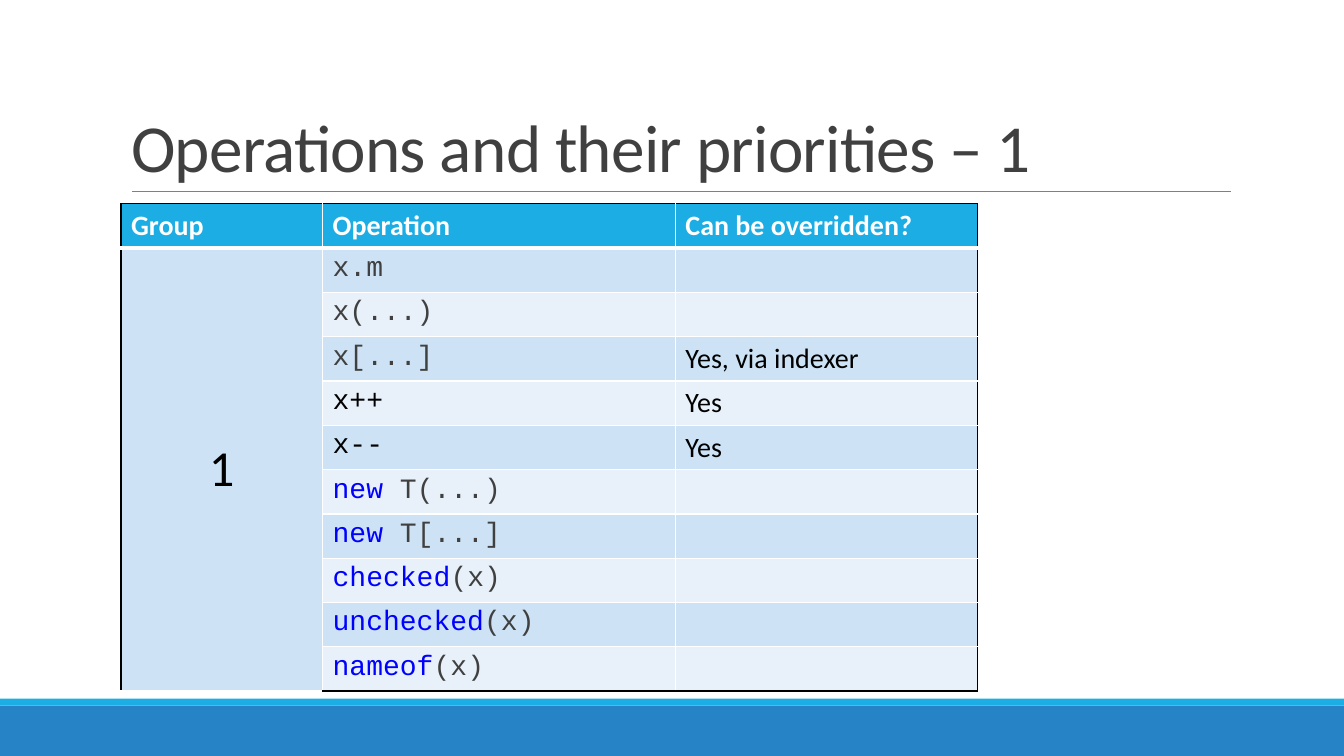
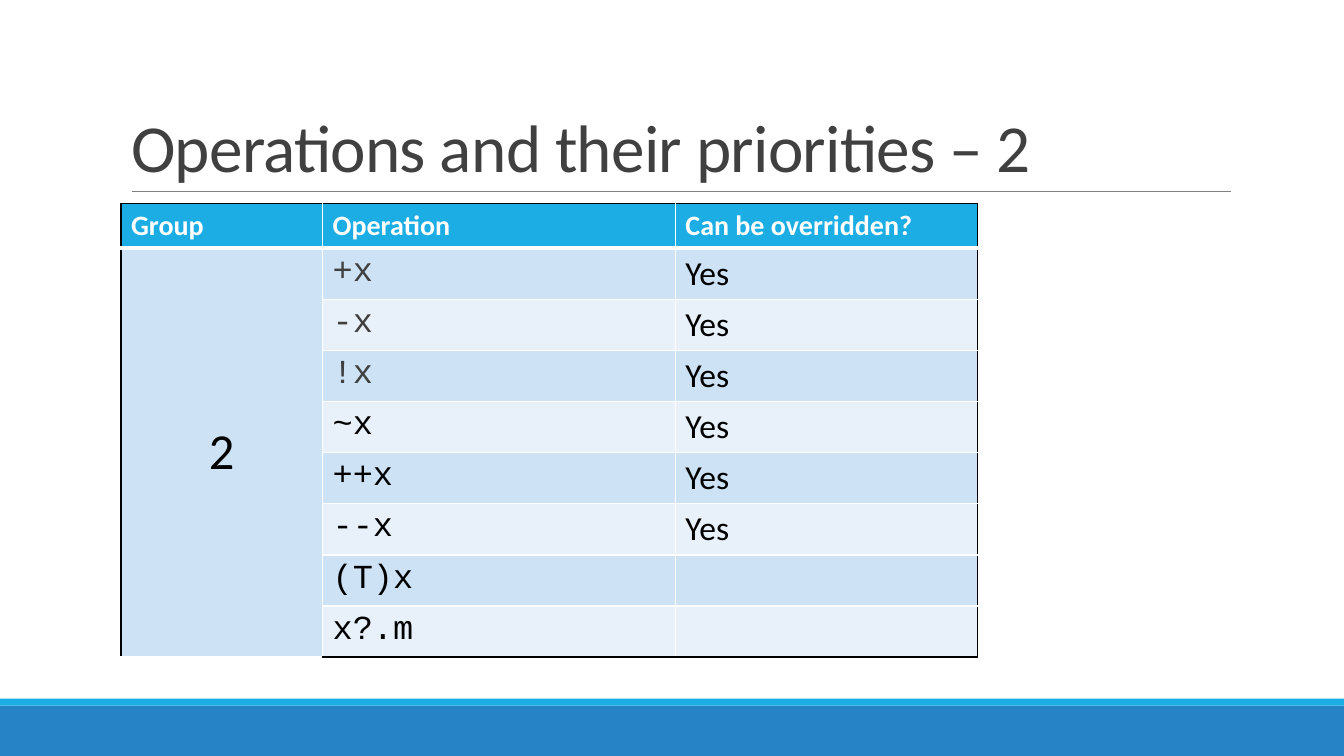
"""Build two slides of operator tables with a shared title style and footer bands."""
from lxml.etree import SubElement
from pptx import Presentation
from pptx.dml.color import RGBColor
from pptx.enum.shapes import MSO_CONNECTOR, MSO_SHAPE
from pptx.enum.text import MSO_ANCHOR, PP_ALIGN
from pptx.oxml import parse_xml
from pptx.oxml.ns import nsdecls, qn
from pptx.util import Pt

WHITE = RGBColor(0xFF, 0xFF, 0xFF)
BLACK = RGBColor(0x00, 0x00, 0x00)
GRAY = RGBColor(0x40, 0x40, 0x40)
RULE_GRAY = RGBColor(0x80, 0x80, 0x80)
KEYWORD_BLUE = RGBColor(0x00, 0x00, 0xFF)
SKY = RGBColor(0x1C, 0xAD, 0xE4)
BLUE = RGBColor(0x26, 0x83, 0xC6)
ROW_FILLS = (RGBColor(0xCD, 0xE3, 0xF5), RGBColor(0xE8, 0xF1, 0xFA))
TEXT_FONT, CODE_FONT = "Calibri", "Courier New"

SLIDE_WIDTH, SLIDE_HEIGHT = 960, 540
BANDS = [(504, 36, BLUE), (499, 5, SKY)]
TABLE_LEFT, TABLE_TOP = 86.4, 145.6
COLUMN_WIDTHS = (144, 252, 216)
HEADER_HEIGHT = 31.6
HEADERS = ("Group", "Operation", "Can be overridden?")

GROUPS = [
    {
        "number": "1", "size": 20, "row_height": 31.6,
        "operations": [
            ("", "x.m", GRAY, ""),
            ("", "x(...)", GRAY, ""),
            ("", "x[...]", GRAY, "Yes, via indexer"),
            ("", "x++", BLACK, "Yes"),
            ("", "x--", BLACK, "Yes"),
            ("new", " T(...)", GRAY, ""),
            ("new", " T[...]", GRAY, ""),
            ("checked", "(x)", GRAY, ""),
            ("unchecked", "(x)", GRAY, ""),
            ("nameof", "(x)", GRAY, ""),
        ],
    },
    {
        "number": "2", "size": 24, "row_height": 36.5,
        "operations": [
            ("", "+x", GRAY, "Yes"),
            ("", "-x", GRAY, "Yes"),
            ("", "!x", GRAY, "Yes"),
            ("", "~x", BLACK, "Yes"),
            ("", "++x", BLACK, "Yes"),
            ("", "--x", BLACK, "Yes"),
            ("", "(T)x", BLACK, ""),
            ("", "x?.m", BLACK, ""),
        ],
    },
]


def style_layout_title(layout):
    title = layout.placeholders[0]
    title.left, title.top, title.width, title.height = Pt(86.4), Pt(22.3), Pt(792), Pt(114.5)
    title.text_frame.vertical_anchor = MSO_ANCHOR.BOTTOM
    list_style = title.element.txBody.find(qn("a:lstStyle"))
    list_style.append(parse_xml(
        f'<a:lvl1pPr {nsdecls("a")} algn="l"><a:lnSpc><a:spcPct val="85000"/></a:lnSpc>'
        f'<a:defRPr sz="4800" spc="-50"><a:solidFill><a:srgbClr val="{GRAY}"/></a:solidFill>'
        f'<a:latin typeface="{TEXT_FONT}"/></a:defRPr></a:lvl1pPr>'))


def move_decoration_to_layout(slide, layout):
    decorations = []
    for top, height, color in BANDS:
        band = slide.shapes.add_shape(
            MSO_SHAPE.RECTANGLE, Pt(0), Pt(top), Pt(SLIDE_WIDTH), Pt(height))
        band.shadow.inherit = False
        band.fill.solid()
        band.fill.fore_color.rgb = color
        band.line.fill.background()
        decorations.append(band)
    rule = slide.shapes.add_connector(
        MSO_CONNECTOR.STRAIGHT, Pt(94.3), Pt(136.8), Pt(879.1), Pt(136.8))
    rule.line.color.rgb = RULE_GRAY
    rule.line.width = Pt(0.5)
    SubElement(rule.element.spPr, qn("a:effectLst"))
    decorations.append(rule)
    for shape in decorations:
        layout.shapes.element.append(shape.element)


def add_run(cell, text, size, color, font=TEXT_FONT, bold=False):
    run = cell.text_frame.paragraphs[0].add_run()
    run.text = text
    run.font.size = Pt(size)
    run.font.name = font
    run.font.bold = bold
    run.font.color.rgb = color


def style_cell(cell, row, column, last_row):
    last_column = len(COLUMN_WIDTHS) - 1
    borders = [
        ("a:lnL", BLACK if column == 0 else WHITE, 1),
        ("a:lnR", BLACK if column == last_column else WHITE, 1),
        ("a:lnT", BLACK if row == 0 else WHITE, 3 if row == 1 else 1),
        ("a:lnB", BLACK if row == last_row else WHITE, 3 if row == 0 else 1),
    ]
    properties = cell._tc.get_or_add_tcPr()
    for tag, color, width in borders:
        line = SubElement(properties, qn(tag), w=str(Pt(width)))
        fill = SubElement(line, qn("a:solidFill"))
        SubElement(fill, qn("a:srgbClr"), val=str(color))
    cell.fill.solid()
    first_body_fill = column == 0 or row % 2 == 1
    cell.fill.fore_color.rgb = SKY if row == 0 else ROW_FILLS[0 if first_body_fill else 1]


def add_operation_table(slide, group):
    operations, size = group["operations"], group["size"]
    last_row = len(operations)
    heights = [HEADER_HEIGHT] + [group["row_height"]] * last_row
    table = slide.shapes.add_table(
        last_row + 1, len(HEADERS), Pt(TABLE_LEFT), Pt(TABLE_TOP),
        Pt(sum(COLUMN_WIDTHS)), Pt(sum(heights))).table
    table.horz_banding = False
    for column, width in zip(table.columns, COLUMN_WIDTHS):
        column.width = Pt(width)
    for row_index, height in enumerate(heights):
        table.rows[row_index].height = Pt(height)
        for column_index in range(len(HEADERS)):
            style_cell(table.cell(row_index, column_index), row_index, column_index, last_row)

    for column_index, header in enumerate(HEADERS):
        add_run(table.cell(0, column_index), header, 20, WHITE, bold=True)
    number_cell = table.cell(1, 0)
    number_cell.merge(table.cell(last_row, 0))
    number_cell.vertical_anchor = MSO_ANCHOR.MIDDLE
    add_run(number_cell, group["number"], 36, BLACK)
    number_cell.text_frame.paragraphs[0].alignment = PP_ALIGN.CENTER
    for row_index, (keyword, code, color, overridable) in enumerate(operations, start=1):
        operation_cell = table.cell(row_index, 1)
        if keyword:
            add_run(operation_cell, keyword, size, KEYWORD_BLUE, CODE_FONT)
        add_run(operation_cell, code, size, color, CODE_FONT)
        if overridable:
            add_run(table.cell(row_index, 2), overridable, size, BLACK)


def main():
    presentation = Presentation()
    presentation.slide_width, presentation.slide_height = Pt(SLIDE_WIDTH), Pt(SLIDE_HEIGHT)
    layout = presentation.slide_layouts.get_by_name("Title Only")
    style_layout_title(layout)
    for group in GROUPS:
        slide = presentation.slides.add_slide(layout)
        slide.shapes.title.text_frame.text = f"Operations and their priorities – {group['number']}"
        add_operation_table(slide, group)
    move_decoration_to_layout(presentation.slides[0], layout)
    presentation.save("out.pptx")


if __name__ == "__main__":
    main()
